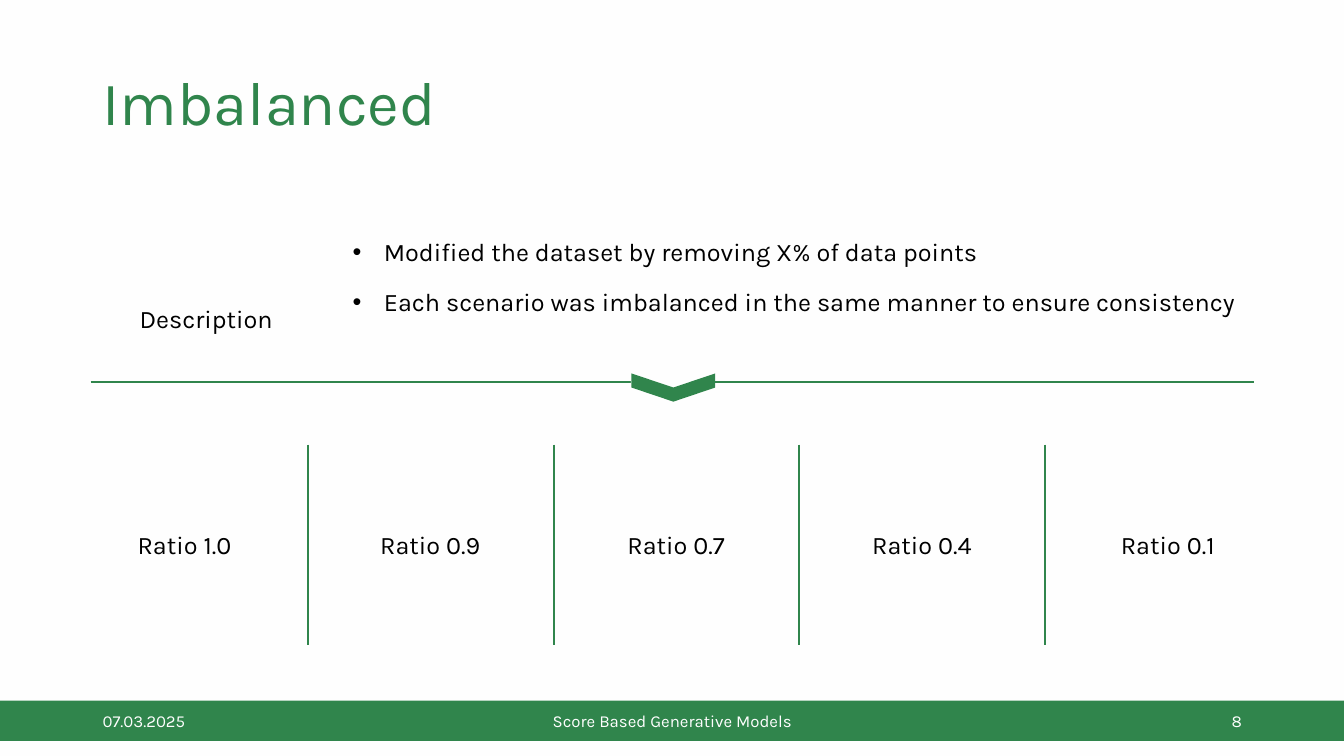
import pptx
import pptx.dml.color
import pptx.enum.shapes
import pptx.enum.text
import pptx.oxml
import pptx.oxml.ns
import pptx.util

GREEN = pptx.dml.color.RGBColor(0x30, 0x85, 0x4C)
WHITE = pptx.dml.color.RGBColor(0xFE, 0xFE, 0xFE)
BLACK = pptx.dml.color.RGBColor(0x00, 0x00, 0x00)
LEFT = pptx.enum.text.PP_ALIGN.LEFT
CENTER = pptx.enum.text.PP_ALIGN.CENTER
RIGHT = pptx.enum.text.PP_ALIGN.RIGHT
SHAPES = pptx.enum.shapes.MSO_SHAPE


class SlideBuilder:
    """Places elements by percent of the slide's width and height."""

    font_name = "Karla"
    body_size = 18

    def __init__(self, presentation):
        self.column = presentation.slide_width / 100
        self.row = presentation.slide_height / 100
        self.slide = presentation.slides.add_slide(presentation.slide_layouts[6])
        background = self.slide.background.fill
        background.solid()
        background.fore_color.rgb = WHITE

    def place(self, *lengths):
        """Turn alternating horizontal and vertical shares into EMU."""
        units = (self.column, self.row) * 2
        return [round(length * unit) for length, unit in zip(lengths, units)]

    def block(self, kind, box, color, rotation=0):
        shape = self.slide.shapes.add_shape(kind, *self.place(*box))
        shape.shadow.inherit = False
        shape.fill.solid()
        shape.fill.fore_color.rgb = color
        shape.line.fill.background()
        shape.rotation = rotation

    def line(self, start, end, width):
        connector = self.slide.shapes.add_connector(
            pptx.enum.shapes.MSO_CONNECTOR.STRAIGHT, *self.place(*start, *end))
        connector.line.color.rgb = GREEN
        connector.line.width = pptx.util.Pt(width)
        properties = connector.element.spPr
        properties.append(pptx.oxml.parse_xml(
            f"<a:effectLst {pptx.oxml.ns.nsdecls('a')}/>"))

    def text(self, text, box, size=body_size, color=BLACK, align=LEFT):
        frame = self.slide.shapes.add_textbox(*self.place(*box)).text_frame
        frame.word_wrap = True
        frame.vertical_anchor = pptx.enum.text.MSO_ANCHOR.MIDDLE
        frame.text = text
        for paragraph in frame.paragraphs:
            paragraph.alignment = align
            for run in paragraph.runs:
                run.font.name = self.font_name
                run.font.size = pptx.util.Pt(size)
                run.font.color.rgb = color
        return frame

    def bullets(self, items, box):
        indent = pptx.util.Inches(0.31)
        for paragraph in self.text("\n".join(items), box).paragraphs:
            paragraph.space_after = pptx.util.Pt(14)
            properties = paragraph._p.get_or_add_pPr()
            properties.set("marL", str(indent))
            properties.set("indent", str(-indent))
            for tag in ('buFont typeface="Arial"', 'buChar char="•"'):
                name, attribute = tag.split()
                properties.append(pptx.oxml.parse_xml(
                    f"<a:{name} {pptx.oxml.ns.nsdecls('a')} {attribute}/>"))


def main():
    presentation = pptx.Presentation()
    presentation.slide_width = pptx.util.Inches(13.33)
    presentation.slide_height = pptx.util.Inches(7.5)
    builder = SlideBuilder(presentation)

    footer_top, footer_height = 92.67, 5.33
    builder.block(SHAPES.RECTANGLE, (-1.35, footer_top, 102.15, footer_height), GREEN)
    title = builder.text("Imbalanced", (6.9, 7.87, 86.25, 12.13), 44, GREEN)
    title.paragraphs[0].line_spacing = 0.9
    for text, left, width, align in (
        ("07.03.2025", 6.9, 22.5, LEFT),
        ("Score Based Generative Models", 33.15, 33.75, CENTER),
        ("8", 70.65, 22.5, RIGHT),
    ):
        builder.text(text, (left, footer_top, width, footer_height), 12, WHITE, align)

    builder.line((6.75, 50.53), (93.3, 50.53), 2)
    builder.bullets(
        ["Modified the dataset by removing X% of data points",
         "Each scenario was imbalanced in the same manner to ensure consistency"],
        (25.5, 27.07, 67.58, 19.07))
    builder.text("Description", (8.55, 38.27, 13.58, 7.73), align=CENTER)
    builder.block(SHAPES.RECTANGLE, (46.95, 48.13, 6.23, 5.73), WHITE)
    builder.block(SHAPES.CHEVRON, (49.05, 45.73, 2.1, 11.07), GREEN, rotation=90)

    ratios = ("1.0", "0.9", "0.7", "0.4", "0.1")
    ratio_step = 18.29
    for index, ratio in enumerate(ratios):
        offset = index * ratio_step
        builder.text(f"Ratio {ratio}", (7.5 + offset, 68.53, 12.45, 7.07), align=CENTER)
        if index < len(ratios) - 1:
            divider = 22.9 + offset
            builder.line((divider, 58.8), (divider, 85.33), 1.5)

    presentation.save("out.pptx")


if __name__ == "__main__":
    main()
